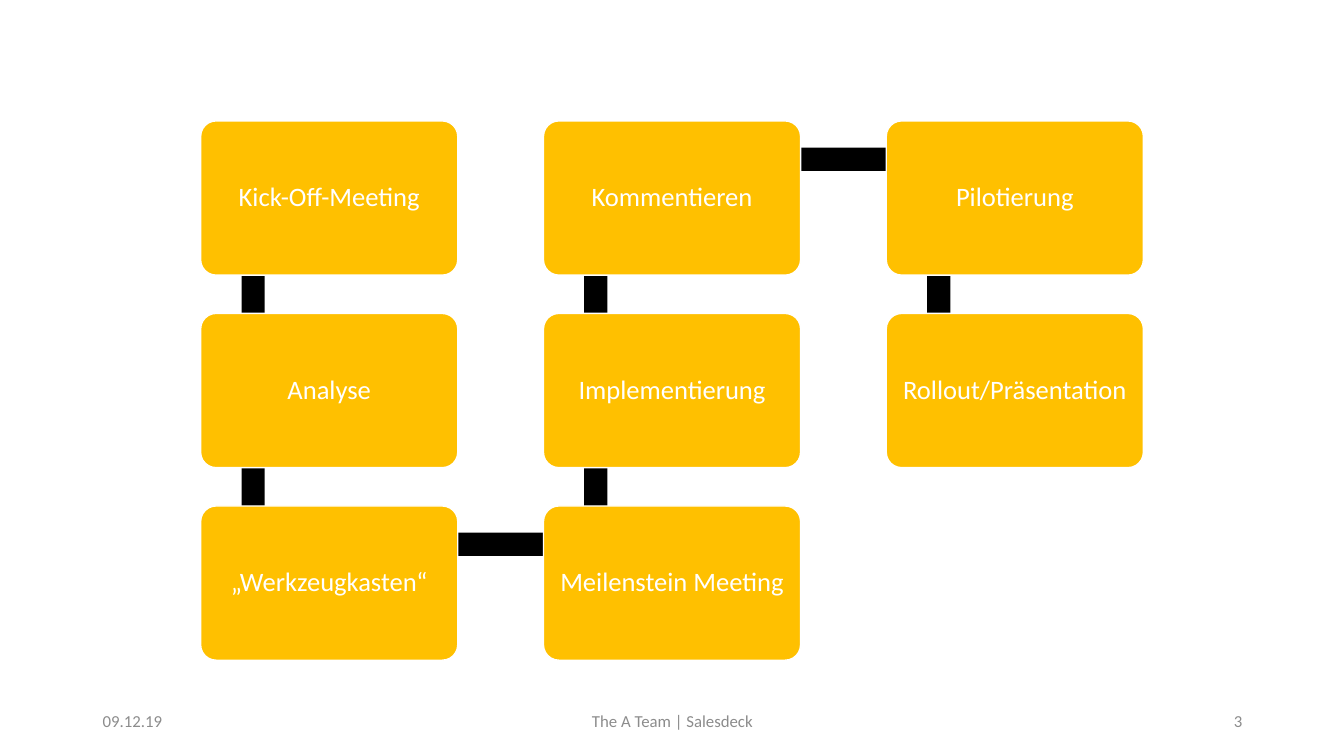
from pptx import Presentation
from pptx.dml.color import RGBColor
from pptx.enum.shapes import MSO_SHAPE
from pptx.enum.text import MSO_ANCHOR, PP_ALIGN
from pptx.util import Inches, Pt

RECT, ROUNDED = MSO_SHAPE.RECTANGLE, MSO_SHAPE.ROUNDED_RECTANGLE
LEFT, CENTER, RIGHT = PP_ALIGN.LEFT, PP_ALIGN.CENTER, PP_ALIGN.RIGHT
MIDDLE = MSO_ANCHOR.MIDDLE

# Content: process steps as (label, column, row), in order
STEPS = [
    ("Kick-Off-Meeting", 0, 0),
    ("Analyse", 0, 1),
    ("„Werkzeugkasten“", 0, 2),
    ("Meilenstein Meeting", 1, 2),
    ("Implementierung", 1, 1),
    ("Kommentieren", 1, 0),
    ("Pilotierung", 2, 0),
    ("Rollout/Präsentation", 2, 1),
]
FOOTER = [  # text, left, width, alignment
    ("09.12.19", 0.92, 3, LEFT),
    ("The A Team | Salesdeck", 4.42, 4.5, CENTER),
    ("3", 9.42, 3, RIGHT),
]

# Layout in inches
GRID_LEFT, GRID_TOP = 1.99, 1.2
COLUMN_STEP, ROW_STEP = 3.4, 1.91
CARD_WIDTH, CARD_HEIGHT = 2.55, 1.53
ANCHOR_X, ANCHOR_Y = 0.52, 0.38  # where bars meet inside a card
BAR_THICKNESS = 0.23
CARD_INSET = 0.12


def color(value):
    return RGBColor.from_string(value)


def card_corner(column, row):
    return GRID_LEFT + column * COLUMN_STEP, GRID_TOP + row * ROW_STEP


def add_block(page, kind, left, top, width, height, fill):
    block = page.shapes.add_shape(
        kind, Inches(left), Inches(top), Inches(width), Inches(height))
    block.shadow.inherit = False
    block.fill.solid()
    block.fill.fore_color.rgb = color(fill)
    block.line.fill.background()
    return block


def write(box, text, size, text_color, alignment):
    frame = box.text_frame
    frame.word_wrap = True
    frame.vertical_anchor = MIDDLE
    frame.text = text
    para = frame.paragraphs[0]
    para.alignment = alignment
    font = para.runs[0].font
    font.name, font.size = "Calibri", Pt(size)
    font.color.rgb = color(text_color)
    return para


def add_bar(page, start, end):
    (start_x, start_y), (end_x, end_y) = card_corner(*start), card_corner(*end)
    center_x = (start_x + end_x) / 2 + ANCHOR_X
    center_y = (start_y + end_y) / 2 + ANCHOR_Y
    length = abs(end_x - start_x) + abs(end_y - start_y)
    bar = add_block(page, RECT, center_x - length / 2,
                    center_y - BAR_THICKNESS / 2, length, BAR_THICKNESS, "000000")
    if end_y != start_y:
        bar.rotation = 90 if end_y > start_y else 270


def add_card(page, label, column, row):
    left, top = card_corner(column, row)
    card = add_block(page, ROUNDED, left, top, CARD_WIDTH, CARD_HEIGHT, "FFC000")
    card.adjustments[0] = 0.1
    card.line.color.rgb = color("FFFFFF")
    card.line.width = Pt(1)
    frame = card.text_frame
    frame.margin_left = frame.margin_right = Inches(CARD_INSET)
    frame.margin_top = frame.margin_bottom = Inches(CARD_INSET)
    write(card, label, 19, "FFFFFF", CENTER).line_spacing = 0.9


def main():
    deck = Presentation()
    deck.slide_width, deck.slide_height = Inches(13.33), Inches(7.5)
    page = deck.slides.add_slide(deck.slide_layouts[6])

    # Process: each bar lies beneath the cards it joins
    for index, (label, column, row) in enumerate(STEPS):
        if index + 1 < len(STEPS):
            add_bar(page, (column, row), STEPS[index + 1][1:])
        add_card(page, label, column, row)

    # Footer
    for text, left, width, alignment in FOOTER:
        box = page.shapes.add_textbox(
            Inches(left), Inches(6.95), Inches(width), Inches(0.4))
        write(box, text, 12, "8C8C8C", alignment)

    deck.save("out.pptx")


if __name__ == "__main__":
    main()
